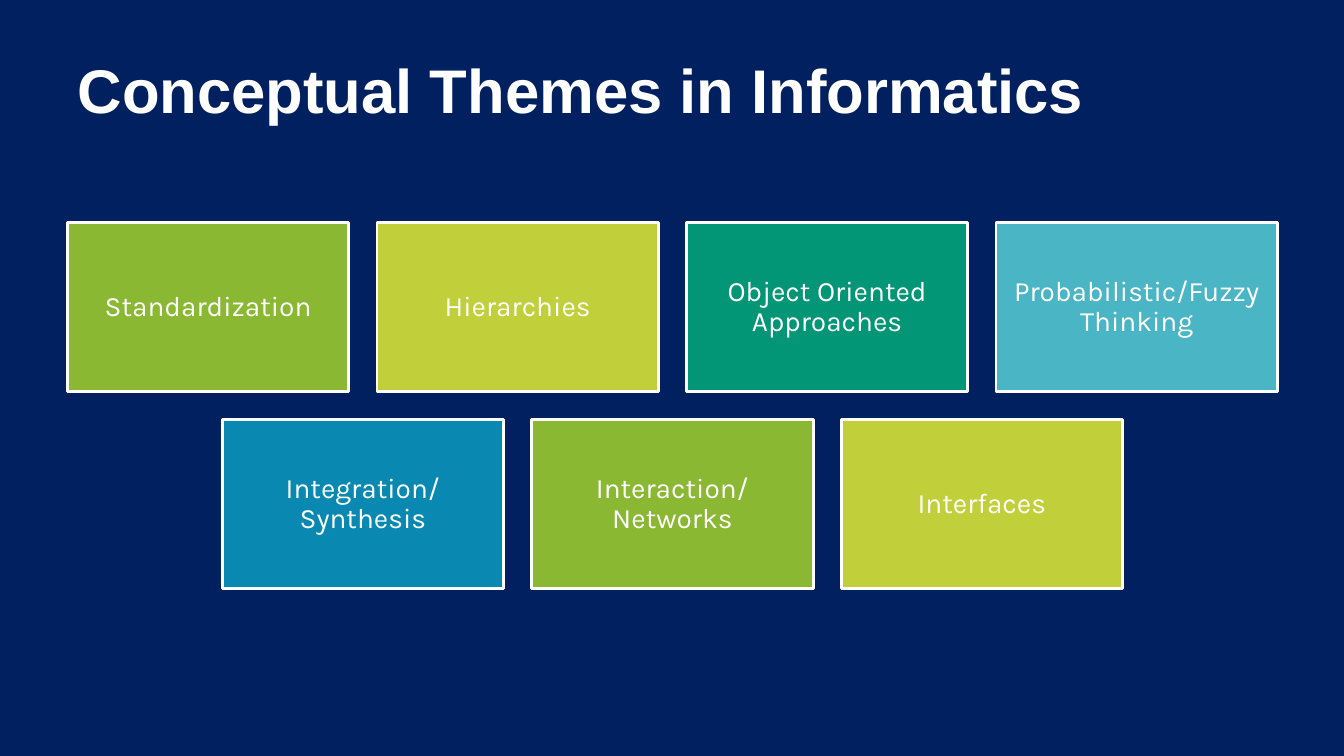
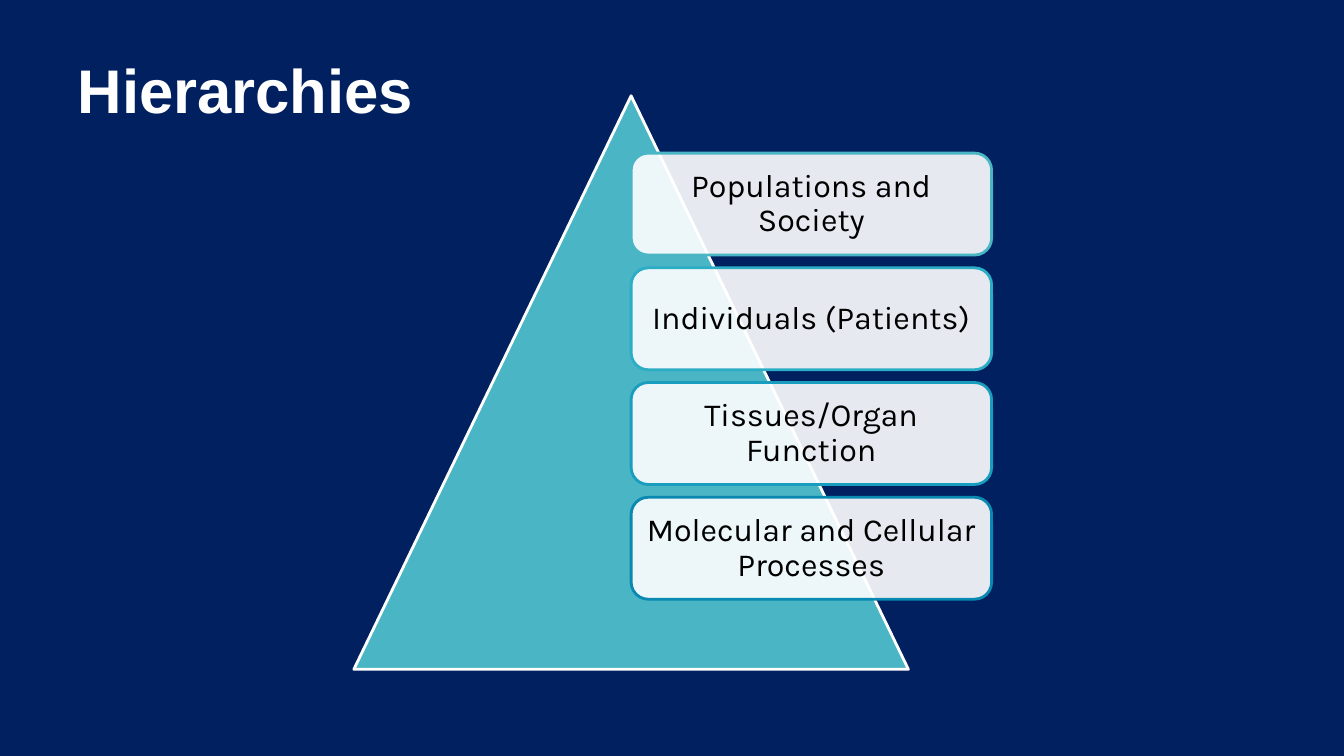
from pptx import Presentation
from pptx.dml.color import RGBColor
from pptx.enum.shapes import MSO_SHAPE
from pptx.enum.text import MSO_ANCHOR, PP_ALIGN
from pptx.oxml.ns import qn
from pptx.util import Inches, Pt
from lxml import etree

RECT, ROUND = MSO_SHAPE.RECTANGLE, MSO_SHAPE.ROUNDED_RECTANGLE
PEAK = MSO_SHAPE.ISOSCELES_TRIANGLE
MIDDLE, LEFT, CENTER = MSO_ANCHOR.MIDDLE, PP_ALIGN.LEFT, PP_ALIGN.CENTER
TITLE_ONLY = 5
WIDE, HIGH = 13.33, 7.5
HEAD = (0.67, 0.3, 12, 1.25)
COLORS = {
    "navy": "002060", "white": "FFFFFF", "black": "000000",
    "green": "8AB833", "lime": "C0CF3A", "jade": "029676",
    "aqua": "4AB5C4", "blue": "0989B1", "sky": "2CADC6", "sea": "189DBE",
}
THEMES = [
    [("Standardization", "green"), ("Hierarchies", "lime"),
     ("Object Oriented Approaches", "jade"),
     ("Probabilistic/Fuzzy Thinking", "aqua")],
    [("Integration/Synthesis", "blue"), ("Interaction/Networks", "green"),
     ("Interfaces", "lime")],
]
LEVELS = [
    ("Populations and Society", "aqua"), ("Individuals (Patients)", "sky"),
    ("Tissues/Organ Function", "sea"),
    ("Molecular and Cellular Processes", "blue"),
]


def rgb(name):
    """Return the named colour."""
    return RGBColor.from_string(COLORS[name])


def write(shape, text, size, color="white", font="Karla", bold=False,
          align=CENTER, inset=0.1, space=0.9):
    """Put formatted text into a shape."""
    frame = shape.text_frame
    frame.word_wrap = True
    frame.vertical_anchor = MIDDLE
    frame.margin_left = frame.margin_right = Inches(inset)
    frame.margin_top = frame.margin_bottom = Inches(inset)
    para = frame.paragraphs[0]
    para.alignment = align
    para.line_spacing = space
    run = para.add_run()
    run.text = text
    run.font.name = font
    run.font.size = Pt(size)
    run.font.bold = bold
    run.font.color.rgb = rgb(color)


def draw(slide, kind, box, fill, line="white", alpha=None):
    """Add an outlined shape, see-through if alpha is given in percent."""
    shape = slide.shapes.add_shape(kind, *map(Inches, box))
    shape.shadow.inherit = False
    shape.fill.solid()
    shape.fill.fore_color.rgb = rgb(fill)
    shape.line.color.rgb = rgb(line)
    shape.line.width = Pt(2)
    if alpha is not None:
        tone = shape.fill._xPr.find(qn("a:solidFill"))[0]
        etree.SubElement(tone, qn("a:alpha")).set("val", str(alpha * 1000))
    return shape


def start(deck, text):
    """Add a slide with its title."""
    slide = deck.slides.add_slide(deck.slide_layouts[TITLE_ONLY])
    title = slide.shapes.title
    title.left, title.top, title.width, title.height = map(Inches, HEAD)
    write(title, text, 44, font="Arial", bold=True, align=LEFT)
    return slide


def tiles(slide, box, rows):
    """Lay out centred rows of tiles, the gap a tenth of a tile."""
    left, top, width = box
    most = max(map(len, rows))
    wide = width / (most + 0.1 * (most - 1))
    high, gap = 0.6 * wide, 0.1 * wide
    for r, row in enumerate(rows):
        shift = (most - len(row)) * (wide + gap) / 2
        for c, (text, fill) in enumerate(row):
            spot = (left + shift + c * (wide + gap),
                    top + r * (high + gap), wide, high)
            write(draw(slide, RECT, spot, fill), text, 20, inset=0.08)


def pyramid(slide, box, levels):
    """Draw a triangle with a column of cards from its middle."""
    left, top, width, height = box
    draw(slide, PEAK, box, "aqua")
    step = 0.8 * height / len(levels)
    for i, (text, line) in enumerate(levels):
        spot = (left + width / 2, top + 0.1 * height + i * step,
                0.65 * width, step * 8 / 9)
        card = draw(slide, ROUND, spot, "white", line, alpha=90)
        write(card, text, 23, "black")


def main():
    """Build and save the deck."""
    deck = Presentation()
    deck.slide_width, deck.slide_height = Inches(WIDE), Inches(HIGH)
    ground = deck.slide_master.background.fill
    ground.solid()
    ground.fore_color.rgb = rgb("navy")
    tiles(start(deck, "Conceptual Themes in Informatics"),
          (0.67, 2.21, 12), THEMES)
    pyramid(start(deck, "Hierarchies"), (3.51, 0.95, 5.5, 5.69), LEVELS)
    deck.save("out.pptx")


if __name__ == "__main__":
    main()
